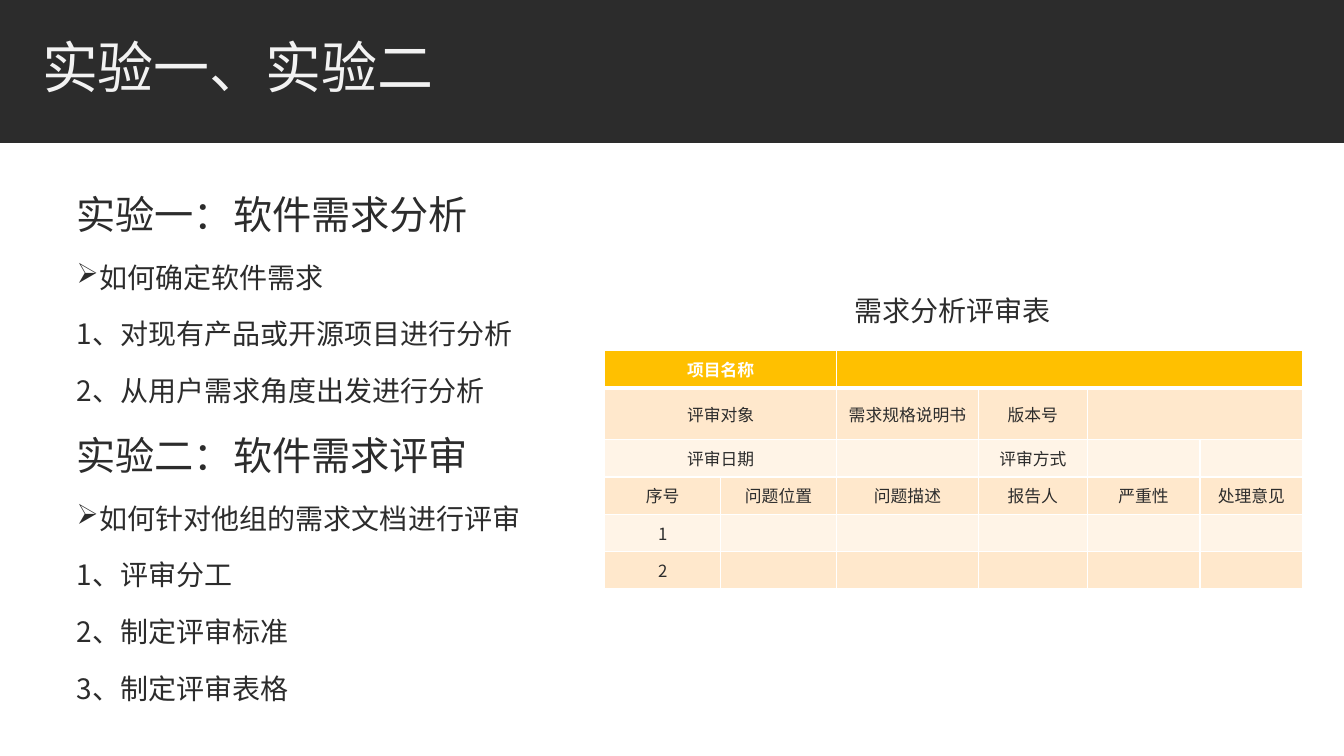
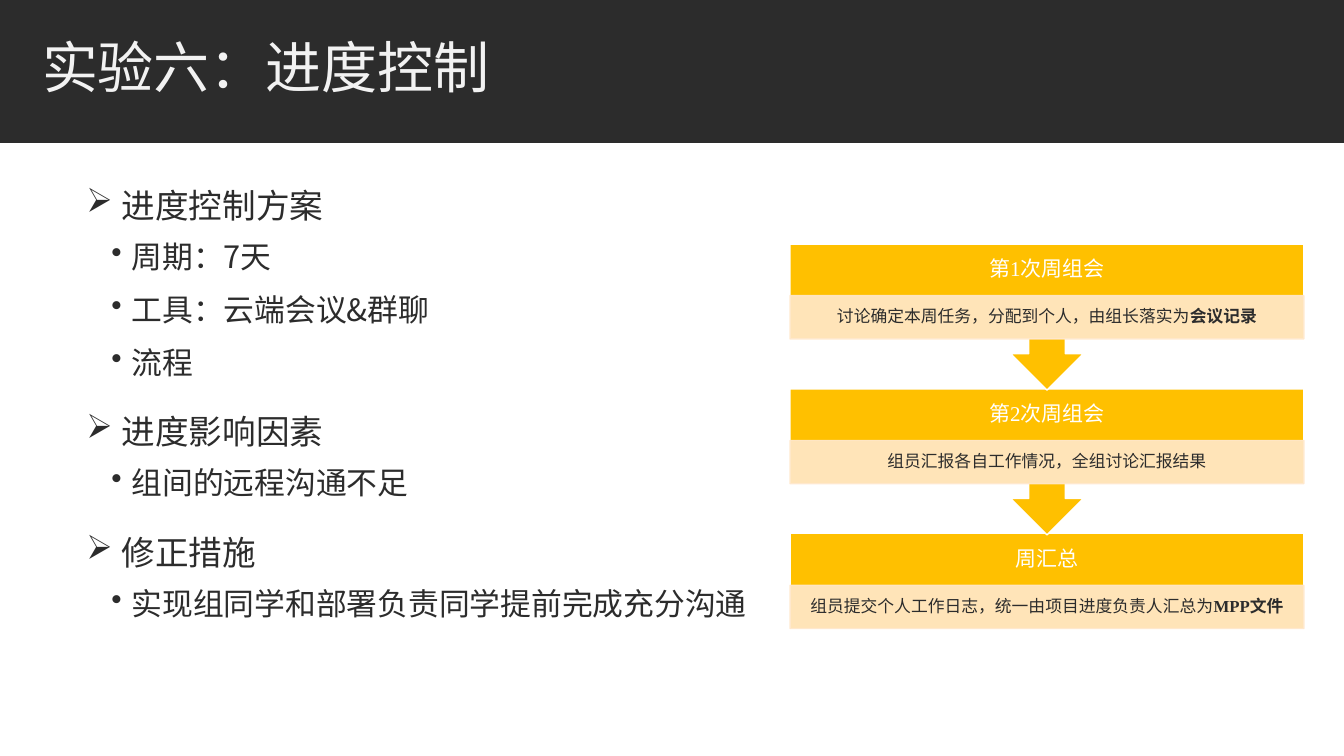
from dataclasses import dataclass

from lxml import etree
from pptx import Presentation
from pptx.dml.color import RGBColor
from pptx.enum.shapes import MSO_SHAPE
from pptx.enum.text import MSO_ANCHOR, MSO_AUTO_SIZE, PP_ALIGN
from pptx.oxml.ns import qn
from pptx.util import Cm, Pt

RECT = MSO_SHAPE.RECTANGLE
CALLOUT = MSO_SHAPE.UP_ARROW_CALLOUT
TOP, MIDDLE = MSO_ANCHOR.TOP, MSO_ANCHOR.MIDDLE
LEFT, CENTER = PP_ALIGN.LEFT, PP_ALIGN.CENTER
NO_AUTOFIT = MSO_AUTO_SIZE.NONE
TITLE_ONLY = 5


@dataclass(frozen=True)
class Theme:
    dark: str = "2C2C2C"
    light: str = "F2F2F2"
    white: str = "FFFFFF"
    accent: str = "FFC000"
    tint: str = "FFE8CC"
    pale: str = "FFF4E7"
    font: str = "Noto Sans CJK SC"
    step_font: str = "Times New Roman"
    title: int = 40
    heading: int = 28
    topic: int = 24
    point: int = 22
    body: int = 20
    step: int = 15
    small: int = 12


T = Theme()
SLIDE_W, SLIDE_H = 33.87, 19.05
BAND_H = 3.6

LAB_STYLES = {
    "heading": dict(size=T.heading),
    "arrow": dict(size=T.body, bullet="➢", indent=0.58, hang=0.58),
    "item": dict(size=T.body),
}
LAB_OUTLINE = [
    ("heading", "实验一：软件需求分析"),
    ("arrow", "如何确定软件需求"),
    ("item", "1、对现有产品或开源项目进行分析"),
    ("item", "2、从用户需求角度出发进行分析"),
    ("heading", "实验二：软件需求评审"),
    ("arrow", "如何针对他组的需求文档进行评审"),
    ("item", "1、评审分工"),
    ("item", "2、制定评审标准"),
    ("item", "3、制定评审表格"),
]

PROGRESS_STYLES = {
    "topic": dict(size=T.topic, bullet="➢", indent=0.89, hang=0.89),
    "point": dict(size=T.point, bullet="•", indent=1.14, hang=0.51,
                  level=1, before=2, after=4),
}
PROGRESS_OUTLINE = [
    ("topic", "进度控制方案"),
    ("point", "周期：7天"),
    ("point", "工具：云端会议&群聊"),
    ("point", "流程"),
    ("topic", "进度影响因素"),
    ("point", "组间的远程沟通不足"),
    ("topic", "修正措施"),
    ("point", "实现组同学和部署负责同学提前完成充分沟通"),
]

REVIEW_COLS = [2.92, 2.92, 3.58, 2.74, 2.84, 2.59]
REVIEW_ROW_HEIGHTS = [0.94, 1.3, 0.94, 0.94, 0.94, 0.94]
REVIEW_ROWS = [
    ["项目名称", "", "", "", "", ""],
    ["评审对象", "", "需求规格说明书", "版本号", "", ""],
    ["评审日期", "", "", "评审方式", "", ""],
    ["序号", "问题位置", "问题描述", "报告人", "严重性", "处理意见"],
    ["1", "", "", "", "", ""],
    ["2", "", "", "", "", ""],
]
# row, first column, last column
REVIEW_MERGES = [(0, 0, 1), (0, 2, 5), (1, 0, 1), (1, 4, 5), (2, 0, 1)]

# heading, detail, bold end of the detail
MEETING_STEPS = [
    ("第1次周组会", "讨论确定本周任务，分配到个人，由组长落实为", "会议记录"),
    ("第2次周组会", "组员汇报各自工作情况，全组讨论汇报结果", ""),
    ("周汇总", "组员提交个人工作日志，统一由项目进度负责人汇总为", "MPP文件"),
]


def rgb(color):
    return RGBColor.from_string(color)


def add_color(parent, tag, color):
    node = etree.SubElement(parent, qn(tag))
    etree.SubElement(node, qn("a:srgbClr"), val=color)


def write(p, text, size=T.body, color=T.dark, font=T.font, bold=False,
          align=LEFT, line=1.0, before=0, after=0, level=0,
          bullet=None, indent=0, hang=0):
    """Add a run to the paragraph and format both."""
    p.alignment, p.line_spacing, p.level = align, line, level
    p.space_before, p.space_after = Pt(before), Pt(after)
    if bullet:
        pPr = p._p.get_or_add_pPr()
        pPr.set("marL", str(Cm(indent)))
        pPr.set("indent", str(-Cm(hang)))
        add_color(pPr, "a:buClr", color)
        etree.SubElement(pPr, qn("a:buChar"), char=bullet)
    r = p.add_run()
    r.text = text
    r.font.size, r.font.bold, r.font.name = Pt(size), bold, font
    r.font.color.rgb = rgb(color)
    etree.SubElement(r._r.get_or_add_rPr(), qn("a:ea"), typeface=T.font)


def set_frame(tf, anchor=TOP, margins=(0.25, 0.13)):
    tf.word_wrap, tf.auto_size, tf.vertical_anchor = True, NO_AUTOFIT, anchor
    tf.margin_left = tf.margin_right = Cm(margins[0])
    tf.margin_top = tf.margin_bottom = Cm(margins[1])
    return tf


def add_text_frame(shapes, box, **frame):
    return set_frame(shapes.add_textbox(*map(Cm, box)).text_frame, **frame)


def add_block(shapes, kind, box, fill, line=None, opacity=None):
    sp = shapes.add_shape(kind, *map(Cm, box))
    sp.shadow.inherit = False
    sp.fill.solid()
    sp.fill.fore_color.rgb = rgb(fill)
    if line:
        sp.line.color.rgb = rgb(line)
        sp.line.width = Pt(1)
    else:
        sp.line.fill.background()
    if opacity:
        for clr in sp.element.iter(qn("a:srgbClr")):
            etree.SubElement(clr, qn("a:alpha"), val=str(opacity * 1000))
    return sp


def add_band_to_layout(s):
    """Draw the title band once, behind everything, on the slide's layout."""
    band = add_block(s.shapes, RECT, (0, 0, SLIDE_W, BAND_H), T.dark)
    s.slide_layout.shapes.element.insert(2, band.element)


def add_titled_slide(prs, title):
    s = prs.slides.add_slide(prs.slide_layouts[TITLE_ONLY])
    sp = s.shapes.title
    sp.left, sp.top, sp.width, sp.height = map(Cm, (0.81, 0.66, 27.18, 2.29))
    tf = set_frame(sp.text_frame, anchor=MIDDLE)
    write(tf.paragraphs[0], title, size=T.title, color=T.light, line=0.85)
    return s


def add_outline(s, box, outline, styles, line):
    tf = add_text_frame(s.shapes, box)
    for i, (kind, text) in enumerate(outline):
        p = tf.add_paragraph() if i else tf.paragraphs[0]
        write(p, text, **{"line": line, "before": 12, "after": 2, **styles[kind]})


def set_borders(cell, color, **widths):
    """Widths in points are keyed by side: L, R, T, B."""
    tcPr = cell._tc.get_or_add_tcPr()
    for side, width in widths.items():
        ln = etree.SubElement(tcPr, qn("a:ln" + side), w=str(Pt(width)))
        add_color(ln, "a:solidFill", color)


def add_review_table(s, left, top):
    size = sum(REVIEW_COLS), sum(REVIEW_ROW_HEIGHTS)
    frame = s.shapes.add_table(len(REVIEW_ROWS), len(REVIEW_COLS),
                               *map(Cm, (left, top, *size)))
    table = frame.table
    table.first_row = table.horz_banding = False
    for col, width in zip(table.columns, REVIEW_COLS):
        col.width = Cm(width)
    for row, height in zip(table.rows, REVIEW_ROW_HEIGHTS):
        row.height = Cm(height)
    for i, texts in enumerate(REVIEW_ROWS):
        header = i == 0
        fill = T.accent if header else T.tint if i % 2 else T.pale
        for j, text in enumerate(texts):
            cell = table.cell(i, j)
            set_borders(cell, T.white, L=1, R=1,
                        T=3 if i == 1 else 1, B=3 if header else 1)
            cell.fill.solid()
            cell.fill.fore_color.rgb = rgb(fill)
            cell.vertical_anchor = MIDDLE
            p = cell.text_frame.paragraphs[0]
            if text:
                write(p, text, size=T.small, bold=header, align=CENTER,
                      color=T.white if header else T.dark)
            else:
                etree.SubElement(p._p, qn("a:endParaRPr"), sz=str(T.small * 100))
    for row, first, last in REVIEW_MERGES:
        table.cell(row, first).merge(table.cell(row, last))


def add_step(shapes, box, step, is_last):
    left, top, width, pitch = box
    head_h, detail_h, overlap = 1.3, 1.09, 0.03
    heading, detail, strong = step
    fmt = dict(font=T.step_font, align=CENTER, line=0.9)
    if is_last:
        add_block(shapes, RECT, (left, top, width, head_h + detail_h),
                  T.accent, T.white)
    else:
        sp = add_block(shapes, CALLOUT, (left, top, width, pitch + overlap),
                       T.accent, T.white)
        sp.rotation = 180
    tf = add_text_frame(shapes, (left, top, width, head_h),
                        anchor=MIDDLE, margins=(0.3, 0.3))
    write(tf.paragraphs[0], heading, size=T.step, color=T.white, after=5, **fmt)
    panel = add_block(shapes, RECT, (left, top + head_h, width, detail_h),
                      T.tint, T.tint, opacity=90)
    p = set_frame(panel.text_frame, anchor=MIDDLE, margins=(0.23, 0.05)).paragraphs[0]
    write(p, detail, size=T.small, after=4, **fmt)
    if strong:
        write(p, strong, size=T.small, after=4, bold=True, **fmt)


def add_meeting_flow(s, left, top, width, pitch):
    """Stack the steps from the bottom up so each arrow lies over the next box."""
    shapes = s.shapes.add_group_shape().shapes
    last = len(MEETING_STEPS) - 1
    for i in range(last, -1, -1):
        add_step(shapes, (left, top + i * pitch, width, pitch),
                 MEETING_STEPS[i], i == last)


def build_requirements_slide(prs):
    s = add_titled_slide(prs, "实验一、实验二")
    add_band_to_layout(s)
    add_outline(s, (1.68, 4.55, 25.45, 13.84), LAB_OUTLINE, LAB_STYLES, line=1.1)
    add_review_table(s, 15.24, 8.84)
    tf = add_text_frame(s.shapes, (21.29, 6.73, 6.2, 2.29), anchor=MIDDLE)
    write(tf.paragraphs[0], "需求分析评审表", line=0.85)


def build_progress_slide(prs):
    s = add_titled_slide(prs, "实验六：进度控制")
    add_outline(s, (1.93, 4.32, 25.45, 13.84), PROGRESS_OUTLINE,
                PROGRESS_STYLES, line=1.2)
    add_meeting_flow(s, left=19.91, top=6.15, width=12.95, pitch=3.65)


def main():
    prs = Presentation()
    prs.slide_width, prs.slide_height = Cm(SLIDE_W), Cm(SLIDE_H)
    build_requirements_slide(prs)
    build_progress_slide(prs)
    prs.save("out.pptx")


if __name__ == "__main__":
    main()
